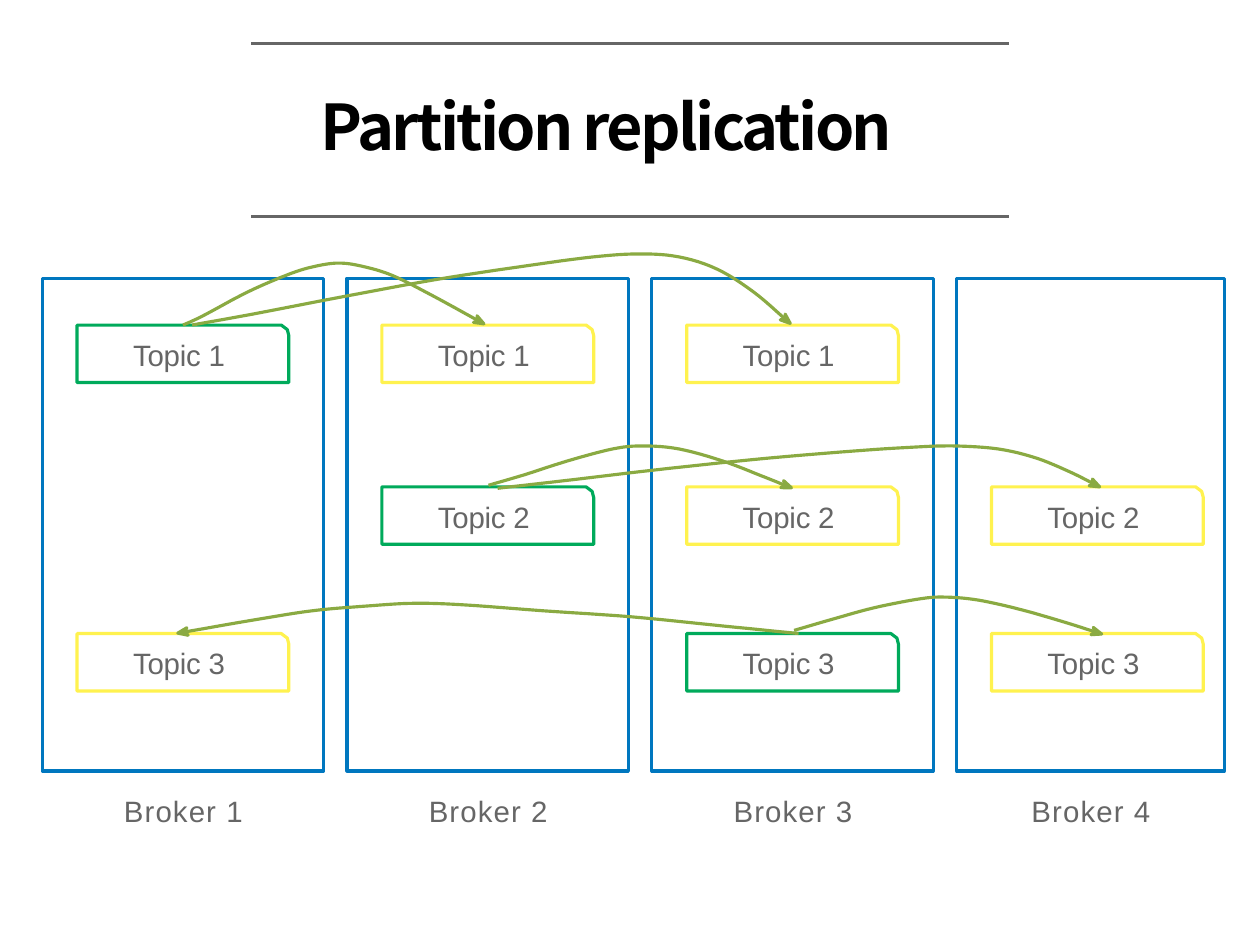
from math import hypot
from pptx import Presentation
from pptx.dml.color import RGBColor
from pptx.enum.shapes import MSO_CONNECTOR as Link
from pptx.enum.text import MSO_ANCHOR as Anchor
from pptx.oxml.ns import qn
from pptx.util import Inches, Pt
from lxml.etree import SubElement

GREY = RGBColor(0x66, 0x66, 0x66)
BLACK = RGBColor(0, 0, 0)
BLUE = RGBColor(0x00, 0x77, 0xBF)
GREEN = RGBColor(0x00, 0xAA, 0x5B)
YELLOW = RGBColor(0xFF, 0xF2, 0x4F)
OLIVE = RGBColor(0x8A, 0xAA, 0x42)

TITLE = "Partition replication"
RULES = [0.29, 1.43]
BROKERS = [("Broker 1", 1.86), ("Broker 2", 1.86), ("Broker 3", 1.86), ("Broker 4", 1.77)]
TOPICS = [
    ("Topic 1", 2.15, 0, [1, 2]),
    ("Topic 2", 3.22, 1, [2, 3]),
    ("Topic 3", 4.19, 2, [3, 0]),
]
ARROWS = [
    [(1.21, 2.15), (1.34, 2.09), (1.64, 1.93), (1.92, 1.81), (2.09, 1.76), (2.24, 1.74),
     (2.39, 1.76), (2.59, 1.82), (2.85, 1.95), (3.16, 2.12)],
    [(1.27, 2.15), (1.66, 2.08), (2.23, 1.97), (2.88, 1.85), (3.47, 1.76), (3.92, 1.7),
     (4.23, 1.68), (4.49, 1.7), (4.74, 1.78), (4.98, 1.93), (5.19, 2.11)],
    [(3.23, 3.21), (3.47, 3.14), (3.75, 3.05), (4.05, 2.97), (4.25, 2.95), (4.49, 2.97),
     (4.78, 3.05), (5.04, 3.15), (5.19, 3.21)],
    [(3.29, 3.23), (3.73, 3.18), (4.32, 3.11), (4.98, 3.04), (5.56, 2.99), (6, 2.96),
     (6.3, 2.95), (6.6, 2.97), (6.85, 3.03), (7.07, 3.12), (7.23, 3.2)],
    [(5.25, 4.17), (5.49, 4.1), (5.78, 4.02), (6.09, 3.96), (6.26, 3.95), (6.47, 3.97),
     (6.74, 4.03), (7.02, 4.11), (7.24, 4.18)],
    [(5.28, 4.19), (4.78, 4.14), (4.18, 4.08), (3.6, 4.04), (3.06, 4), (2.73, 3.99),
     (2.4, 4.01), (2.06, 4.04), (1.68, 4.1), (1.22, 4.18)],
]

STEP = 2.015
BOX_X, BOX_Y, BOX_H = 0.28, 1.84, 3.26
CARD_X, CARD_W, CARD_H = 0.51, 1.4, 0.38

deck = Presentation()
deck.slide_width, deck.slide_height = Inches(8.33), Inches(6.25)
slide = deck.slides.add_slide(deck.slide_layouts[6])
shapes = slide.shapes


def outline(points, color, close=True, fill=False):
    dots = [(Inches(x), Inches(y)) for x, y in points]
    pen = shapes.build_freeform(*dots[0], scale=1.0)
    pen.add_line_segments(dots[1:], close=close)
    shape = pen.convert_to_shape()
    shape.shadow.inherit = False
    if fill:
        shape.fill.solid()
        shape.fill.fore_color.rgb = color
    else:
        shape.fill.background()
    shape.line.color.rgb = color
    shape.line.width = Pt(1.5)


def label(text, x, y, w, h, gap, size=14, font="Arial", color=GREY, bold=False):
    frame = shapes.add_textbox(*map(Inches, (x, y, w, h))).text_frame
    frame.margin_left = Inches(0.01)
    frame.margin_right = frame.margin_top = frame.margin_bottom = 0
    frame.vertical_anchor = Anchor.MIDDLE
    frame.word_wrap = True
    para = frame.paragraphs[0]
    run = para.add_run()
    run.text = text
    run._r.get_or_add_rPr().set("spc", str(gap))
    para.font.size, para.font.name = Pt(size), font
    para.font.color.rgb, para.font.bold = color, bold


def rule(y):
    line = shapes.add_connector(Link.STRAIGHT, *map(Inches, (1.66, y, 6.67, y)))
    line.line.color.rgb = GREY
    line.line.width = Pt(1.5)
    SubElement(line._element.spPr, qn("a:effectLst"))


def card(text, col, y, color):
    x = CARD_X + col * STEP
    right, low = x + CARD_W, y + CARD_H
    outline([(x, y), (right - 0.05, y), (right - 0.01, y + 0.03), (right, y + 0.07),
             (right, low), (x, low)], color)
    label(text, x + 0.36, y + 0.07, 0.67, 0.25, -10)


def blend(a, b, c, d, t):
    return b + t / 2 * (c - a + t * (2 * a - 5 * b + 4 * c - d + t * (3 * (b - c) + d - a)))


def smooth(keys, parts=6):
    ends = [keys[0], *keys, keys[-1]]
    curve = [tuple(blend(*axis, n / parts) for axis in zip(*ends[i:i + 4]))
             for i in range(len(keys) - 1) for n in range(parts)]
    return curve + [keys[-1]]


def arrow(keys):
    outline(smooth(keys), OLIVE, close=False)
    (px, py), (x, y) = keys[-2:]
    size = hypot(x - px, y - py)
    dx, dy = (x - px) / size, (y - py) / size
    head = [(0, 0), (-0.02, 0.025), (0.045, 0), (-0.02, -0.025)]
    outline([(x + u * dx - v * dy, y + u * dy + v * dx) for u, v in head], OLIVE, fill=True)


for y in RULES:
    rule(y)
label(TITLE, 2.11, 0.58, 4.37, 0.5, -130, 30, "Noto Sans CJK SC", BLACK, True)

for i, (name, w) in enumerate(BROKERS):
    x, low = BOX_X + i * STEP, BOX_Y + BOX_H
    outline([(x, BOX_Y), (x + w, BOX_Y), (x + w, low), (x, low)], BLUE)
    label(name, x + w / 2 - 0.4, 5.24, 0.8, 0.25, 50)

for name, y, lead, copies in TOPICS:
    card(name, lead, y, GREEN)
    for col in copies:
        card(name, col, y, YELLOW)

for keys in ARROWS:
    arrow(keys)

deck.save("out.pptx")
